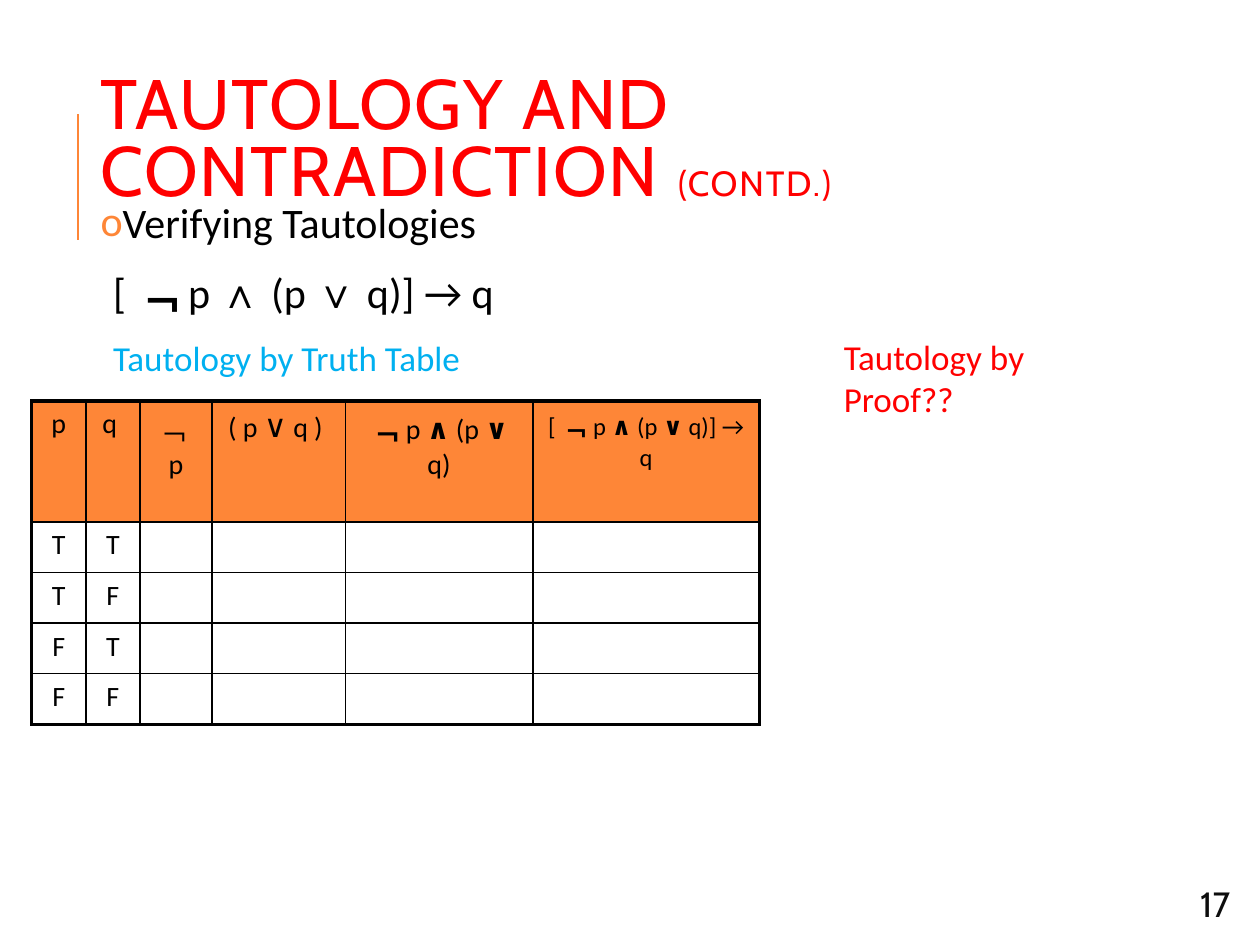
import pptx
import pptx.util
import pptx.dml.color
import pptx.enum.shapes
import pptx.enum.text
import pptx.oxml.ns
from lxml import etree

Cm, Pt = pptx.util.Cm, pptx.util.Pt
RGB = pptx.dml.color.RGBColor
ALIGN = pptx.enum.text.PP_ALIGN
ANCHOR = pptx.enum.text.MSO_ANCHOR
qn = pptx.oxml.ns.qn

ORANGE = RGB(0xFE, 0x86, 0x37)
RED = RGB(0xFF, 0x00, 0x00)
BLUE = RGB(0x00, 0xB0, 0xF0)
BLACK = RGB(0x00, 0x00, 0x00)
DARK = RGB(0x0D, 0x0D, 0x0D)

BOLD = {"bold": True}
SYMBOL = {"bold": True, "name": "Arial"}
TITLE = [("TAUTOLOGY AND CONTRADICTION ", {}), ("(CONTD.)", {"size": Pt(20)})]
BODY = [
    ([("Verifying Tautologies", {})], 24, BLACK, "o"),
    ([("[", {}), ("﹁", SYMBOL), ("p ", {}), ("∧", SYMBOL), (" (p ", {}),
      ("∨", SYMBOL), (" q)] → q", {})], 24, BLACK, None),
    ([("Tautology by Truth Table", {})], 20, BLUE, None),
]
CONJUNCTION = [("﹁", BOLD), ("p ", {}), ("∧", BOLD), (" (p ", {}), ("∨", BOLD)]
HEADER = [
    [("p", {})],
    [("q ", {})],
    [("﹁p", {})],
    [("( p ", {}), ("∨", {"size": Pt(18)}), (" q ) ", {})],
    CONJUNCTION + [(" q)", {})],
    [("[", {})] + CONJUNCTION + [(" q)] → q", {})],
]
TRUTH_VALUES = ["TT", "TF", "FT", "FF"]
COL_WIDTHS = [1.09, 1.09, 1.45, 2.69, 3.78, 4.57]
HEADER_HEIGHT, ROW_HEIGHT = 2.44, 1.02
THIN, THICK = Pt(1), Pt(2.25)


def write(p, runs, size, color, name="Calibri", align=None):
    p.alignment = align
    p.font.size, p.font.name, p.font.color.rgb = Pt(size), name, color
    for text, style in runs:
        r = p.add_run()
        r.text = text
        for key, value in style.items():
            setattr(r.font, key, value)


def add_text_box(s, left, top, width, height, anchor=ANCHOR.TOP):
    tf = s.shapes.add_textbox(Cm(left), Cm(top), Cm(width), Cm(height)).text_frame
    tf.word_wrap = True
    tf.vertical_anchor = anchor
    return tf


def set_bullet(p, char):
    pPr = p._p.get_or_add_pPr()
    pPr.set("marL", str(Cm(0.25)))
    pPr.set("indent", str(-Cm(0.25) if char else 0))
    bullet = []
    if char:
        color = etree.Element(qn("a:buClr"))
        etree.SubElement(color, qn("a:srgbClr"), val=str(ORANGE))
        bullet = [color, etree.Element(qn("a:buFont"), typeface="Calibri"),
                  etree.Element(qn("a:buChar"), char=char)]
    else:
        bullet = [etree.Element(qn("a:buNone"))]
    for element in bullet:
        pPr.find(qn("a:defRPr")).addprevious(element)


def set_borders(cell, widths):
    tcPr = cell._tc.get_or_add_tcPr()
    for side, width in zip("LRTB", widths):
        ln = etree.SubElement(tcPr, qn("a:ln" + side), w=str(width))
        fill = etree.SubElement(ln, qn("a:solidFill"))
        etree.SubElement(fill, qn("a:srgbClr"), val=str(BLACK))


def add_truth_table(s):
    n_rows, n_cols = len(TRUTH_VALUES) + 1, len(HEADER)
    heights = [HEADER_HEIGHT] + [ROW_HEIGHT] * len(TRUTH_VALUES)
    table = s.shapes.add_table(n_rows, n_cols, Cm(0.64), Cm(8.08),
                               Cm(sum(COL_WIDTHS)), Cm(sum(heights))).table
    table.first_row = table.horz_banding = False
    for col, width in zip(table.columns, COL_WIDTHS):
        col.width = Cm(width)
    for row, height in zip(table.rows, heights):
        row.height = Cm(height)
    contents = [HEADER] + [[[(v, {})] for v in values] for values in TRUTH_VALUES]
    for i in range(n_rows):
        for j in range(n_cols):
            cell = table.cell(i, j)
            outer = (j == 0, j == n_cols - 1, i == 0, i == n_rows - 1)
            set_borders(cell, [THICK if edge else THIN for edge in outer])
            if i == 0:
                cell.fill.solid()
                cell.fill.fore_color.rgb = ORANGE
            else:
                cell.fill.background()
            if j < len(contents[i]):
                p = cell.text_frame.paragraphs[0]
                last = j == n_cols - 1
                write(p, contents[i][j], 14 if last else 16, BLACK, align=ALIGN.CENTER)
                p.space_before = Pt(0 if last else 3.2)


def main():
    prs = pptx.Presentation()
    prs.slide_width, prs.slide_height = Cm(25.4), Cm(19.05)
    s = prs.slides.add_slide(prs.slide_layouts[6])

    accent = s.shapes.add_connector(pptx.enum.shapes.MSO_CONNECTOR.STRAIGHT,
                                    Cm(1.57), Cm(4.83), Cm(1.57), Cm(2.29))
    accent.line.color.rgb = ORANGE
    accent.line.width = Pt(1.5)
    etree.SubElement(accent._element.spPr, qn("a:effectLst"))

    p = add_text_box(s, 1.78, 1.73, 20.78, 2.31, ANCHOR.MIDDLE).paragraphs[0]
    write(p, TITLE, 40, RED, "Cabin")
    p.line_spacing = 0.8
    for r in p.runs:
        r._r.get_or_add_rPr().set("spc", "100")

    tf = add_text_box(s, 1.9, 3.94, 22.2, 12.37)
    tf.margin_left = tf.margin_right = tf.margin_top = tf.margin_bottom = Cm(0.13)
    for i, (runs, size, color, bullet) in enumerate(BODY):
        p = tf.add_paragraph() if i else tf.paragraphs[0]
        write(p, runs, size, color)
        p.line_spacing, p.space_before, p.space_after = 0.9, Pt(12), Pt(2)
        set_bullet(p, bullet)

    tf = add_text_box(s, 20.55, 17.83, 4.5, 0.76, ANCHOR.MIDDLE)
    write(tf.paragraphs[0], [("17", {})], 20, DARK, "Cabin", ALIGN.RIGHT)

    add_truth_table(s)

    tf = add_text_box(s, 16.76, 6.63, 6.48, 1.12)
    tf.margin_right = Cm(1.5)
    write(tf.paragraphs[0], [("Tautology by Proof??", {})], 20, RED)

    prs.save("out.pptx")


if __name__ == "__main__":
    main()
